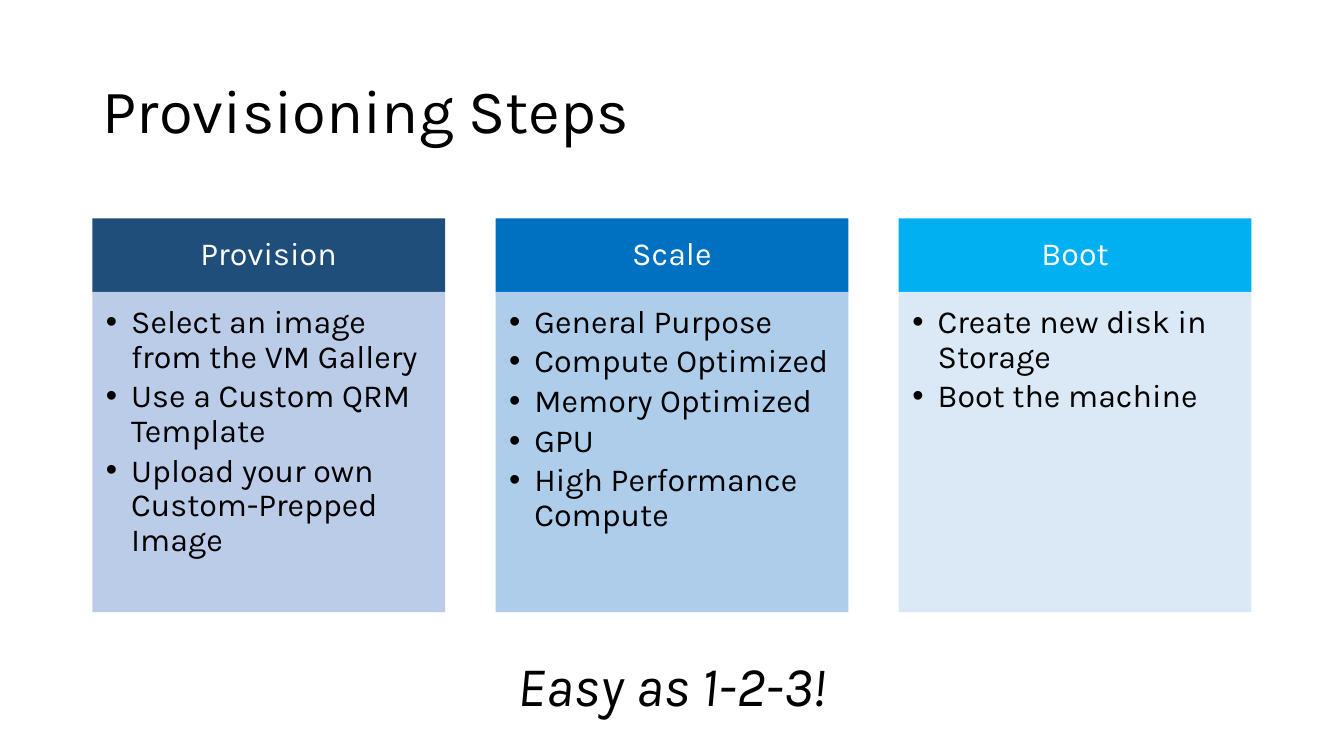
import pptx
import pptx.dml.color
import pptx.enum.shapes
import pptx.enum.text
import pptx.oxml.ns
import pptx.util
from lxml import etree

RGB = pptx.dml.color.RGBColor
Pt = pptx.util.Pt
ALIGN = pptx.enum.text.PP_ALIGN
ANCHOR = pptx.enum.text.MSO_ANCHOR
qn = pptx.oxml.ns.qn

BLACK = RGB(0x00, 0x00, 0x00)
WHITE = RGB(0xFF, 0xFF, 0xFF)
NAVY = RGB(0x1E, 0x4E, 0x79)
BLUE = RGB(0x00, 0x70, 0xC0)
CYAN = RGB(0x00, 0xB0, 0xF0)
LILAC = RGB(0xB4, 0xC7, 0xE7)
SKY = RGB(0xA5, 0xC8, 0xE8)
PALE = RGB(0xD7, 0xE7, 0xF5)

FONT = "Karla"
LEFT, WIDTH = 88, 1104
CARD, HEAD = 336, 70

STEPS = [
    ("Provision", NAVY, LILAC, [
        "Select an image from the VM Gallery",
        "Use a Custom QRM Template",
        "Upload your own Custom-Prepped Image"]),
    ("Scale", BLUE, SKY, [
        "General Purpose", "Compute Optimized", "Memory Optimized",
        "GPU", "High Performance Compute"]),
    ("Boot", CYAN, PALE, [
        "Create new disk in Storage", "Boot the machine"]),
]


def px(n):
    return pptx.util.Emu(n * 9525)


def write(shape, lines, size, color, align, anchor, pad, lead=0.9, after=0):
    """Fill a shape with paragraphs of one style; pad is left, top, right, bottom."""
    frame = shape.text_frame
    frame.word_wrap = True
    frame.vertical_anchor = anchor
    frame.margin_left, frame.margin_top, frame.margin_right, frame.margin_bottom = map(px, pad)
    for i, line in enumerate(lines):
        para = frame.paragraphs[0] if i == 0 else frame.add_paragraph()
        para.text = line
        para.alignment = align
        para.line_spacing = lead
        para.space_after = Pt(after)
        para.font.name = FONT
        para.font.size = Pt(size)
        para.font.color.rgb = color
    return frame.paragraphs


def label(slide, box, text, size, align, anchor, lead):
    shape = slide.shapes.add_textbox(*map(px, box))
    return write(shape, [text], size, BLACK, align, anchor, (10, 5, 10, 5), lead)[0]


def block(slide, box, color):
    shape = slide.shapes.add_shape(
        pptx.enum.shapes.MSO_SHAPE.RECTANGLE, *map(px, box))
    shape.shadow.inherit = False
    shape.fill.solid()
    shape.fill.fore_color.rgb = color
    shape.line.fill.background()
    return shape


def fade(shape, share):
    tint = shape.fill._xPr.find(qn("a:solidFill"))[0]
    etree.SubElement(tint, qn("a:alpha"), val=str(share * 1000))


def bullet(para):
    props = para._p.get_or_add_pPr()
    props.set("marL", str(px(24)))
    props.set("indent", str(px(-24)))
    etree.SubElement(props, qn("a:buFont"), typeface="Arial")
    etree.SubElement(props, qn("a:buChar"), char="•")
    # The schema wants default run properties after the bullet
    props.append(props.find(qn("a:defRPr")))


def card(slide, box, name, dark, light, items):
    left, top, width, height = box
    # Header band
    head = block(slide, (left, top, width, HEAD), dark)
    write(head, [name], 23, WHITE, ALIGN.CENTER, ANCHOR.MIDDLE, (17, 10, 17, 10))
    # Bulleted body
    body = block(slide, (left, top + HEAD, width, height - HEAD), light)
    fade(body, 90)
    for para in write(body, items, 23, BLACK, ALIGN.LEFT, ANCHOR.TOP,
                      (13, 13, 17, 19), after=3.5):
        bullet(para)


def cards(slide, box):
    left, top, width, height = box
    step = (width - CARD) // (len(STEPS) - 1)
    for i, parts in enumerate(STEPS):
        card(slide, (left + i * step, top, CARD, height), *parts)


def main():
    deck = pptx.Presentation()
    deck.slide_width, deck.slide_height = px(1280), px(720)
    slide = deck.slides.add_slide(deck.slide_layouts[6])
    # Title
    label(slide, (LEFT, 39, WIDTH, 139), "Provisioning Steps", 44,
          ALIGN.LEFT, ANCHOR.MIDDLE, 0.9)
    # Three steps
    cards(slide, (LEFT, 208, WIDTH, 375))
    # Closing line
    close = label(slide, (LEFT, 615, WIDTH, 74), "Easy as 1-2-3!", 40,
                  ALIGN.CENTER, ANCHOR.TOP, 1.0)
    close.font.italic = True
    deck.save("out.pptx")


if __name__ == "__main__":
    main()
